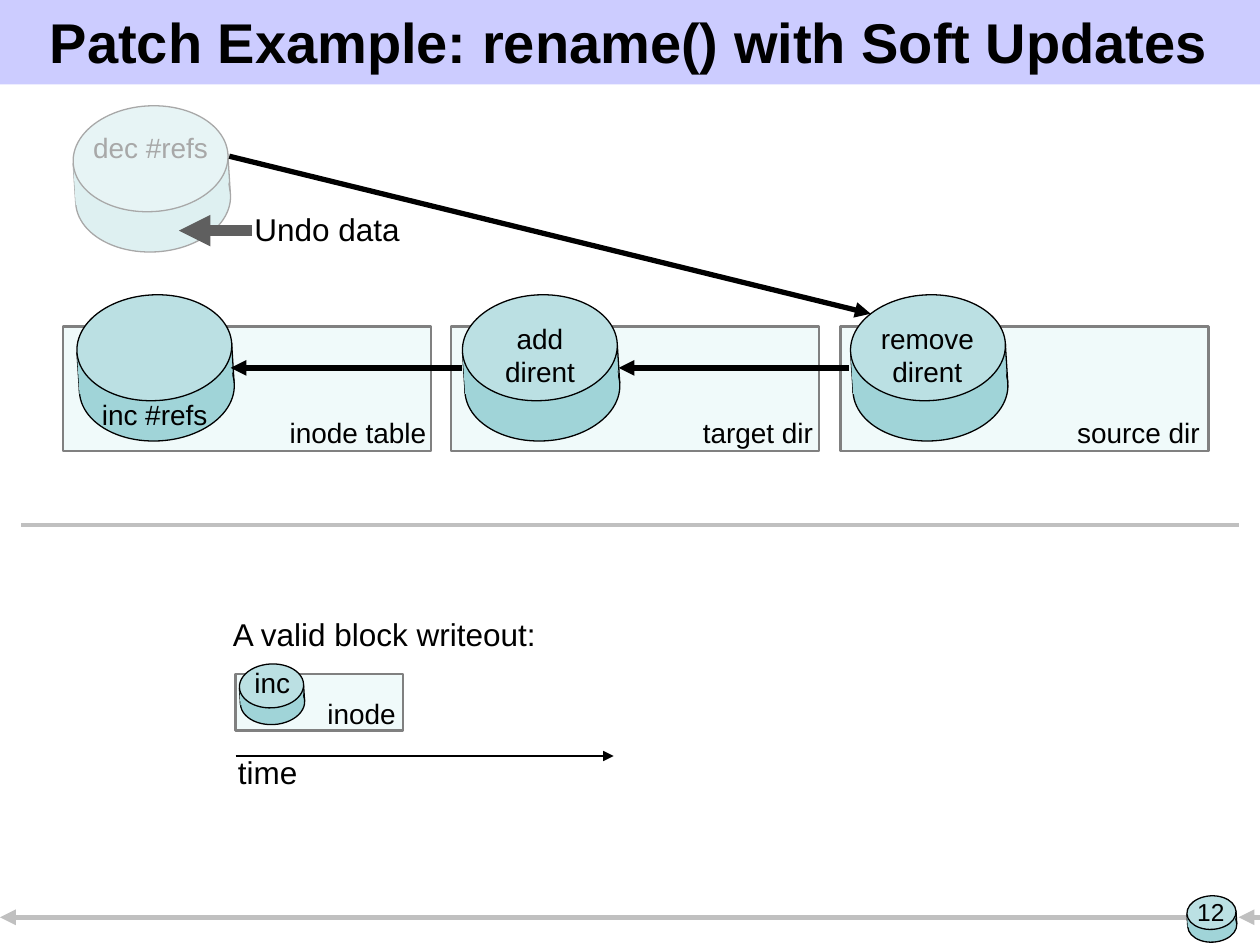
from typing import NamedTuple

from pptx import Presentation
from pptx.dml.color import RGBColor
from pptx.enum.shapes import MSO_CONNECTOR, MSO_SHAPE
from pptx.enum.text import MSO_ANCHOR, MSO_AUTO_SIZE, PP_ALIGN
from pptx.oxml.ns import qn
from pptx.util import Emu, Pt
from lxml.etree import SubElement

PX = 9144  # EMU per px, 100 px to the inch
FONT = "Arial"
COLORS = {
    "black": "000000",
    "white": "FFFFFF",
    "title_band": "CCCCFF",
    "block": "F0FAFA",
    "block_edge": "808080",
    "disk_side": "A0D4D8",
    "disk_top": "BBE0E3",
    "rule": "C0C0C0",
    "undo": "5F5F5F",
}


class Box(NamedTuple):
    left: float
    top: float
    width: float
    height: float


class Disk(NamedTuple):
    left: int
    top: int
    width: int = 123


class Line(NamedTuple):
    x1: int
    y1: int
    x2: int
    y2: int
    color: str = "black"
    weight: float = 3
    arrow: bool = True


class Label(NamedTuple):
    text: str
    box: Box
    size: int = 16
    align: PP_ALIGN = PP_ALIGN.LEFT


def px(length: float) -> Emu:
    return Emu(round(length * PX))


def rgb(name: str) -> RGBColor:
    return RGBColor.from_string(COLORS[name])


def add_solid(shapes, kind: MSO_SHAPE, box: Box, fill: str,
              edge: str = "", weight: float = 0.75, rotation: float = 0):
    solid = shapes.add_shape(kind, *map(px, box))
    solid.shadow.inherit = False
    solid.rotation = rotation
    solid.fill.solid()
    solid.fill.fore_color.rgb = rgb(fill)
    if edge:
        solid.line.color.rgb = rgb(edge)
        solid.line.width = Pt(weight)
    else:
        solid.line.fill.background()
    return solid


def add_block(shapes, box: Box) -> None:
    add_solid(shapes, MSO_SHAPE.RECTANGLE, box, "block", "block_edge", 1.5)


def add_disk(shapes, disk: Disk) -> None:
    """A tilted cylinder; every part scales with its width."""
    left, top, width = disk
    unit = width / 123
    oval, side = 84 * unit, 32 * unit
    parts = shapes.add_group_shape().shapes
    add_solid(parts, MSO_SHAPE.RECTANGLE, Box(left + unit, top + 42 * unit, width, side),
              "disk_side", "black", rotation=356.4)
    add_solid(parts, MSO_SHAPE.OVAL, Box(left + 2 * unit, top + side, width, oval),
              "disk_side", "black", rotation=356.9)
    add_solid(parts, MSO_SHAPE.RECTANGLE, Box(left + unit, top + 43 * unit, width - 1, side),
              "disk_side", rotation=356.4)
    add_solid(parts, MSO_SHAPE.OVAL, Box(left, top, width, oval),
              "disk_top", "black", rotation=356.9)


def add_line(shapes, line: Line) -> None:
    ends = map(px, (line.x1, line.y1, line.x2, line.y2))
    connector = shapes.add_connector(MSO_CONNECTOR.STRAIGHT, *ends)
    connector.line.color.rgb = rgb(line.color)
    connector.line.width = Pt(line.weight)
    if line.arrow:
        SubElement(connector.line._get_or_add_ln(), qn("a:tailEnd"), type="triangle")
    SubElement(connector._element.spPr, qn("a:effectLst"))


def add_text(shapes, text: str, box: Box, *, size: int = 16, bold: bool = False,
             align: PP_ALIGN = PP_ALIGN.LEFT, anchor: MSO_ANCHOR = MSO_ANCHOR.TOP,
             wrap: bool = False) -> None:
    frame = shapes.add_textbox(*map(px, box)).text_frame
    frame.word_wrap = wrap
    frame.auto_size = MSO_AUTO_SIZE.NONE if wrap else MSO_AUTO_SIZE.SHAPE_TO_FIT_TEXT
    frame.vertical_anchor = anchor
    frame.text = text
    for paragraph in frame.paragraphs:
        paragraph.alignment = align
        paragraph.font.name = FONT
        paragraph.font.size = Pt(size)
        paragraph.font.bold = bold
        paragraph.font.color.rgb = rgb("black")


def add_label(shapes, label: Label) -> None:
    add_text(shapes, label.text, label.box, size=label.size, align=label.align)


BLOCK_LEFTS = (50, 358, 667)
BLOCK_DISKS = (Disk(61, 234), Disk(367, 234), Disk(675, 234))
UNDONE_DISK = Disk(58, 84)

# Label boxes leave a little slack so that each line stays whole
PATCH_LABELS = (
    Label("inode table", Box(220, 325, 132, 37)),
    Label("target dir", Box(548, 325, 111, 37)),
    Label("source dir", Box(845, 325, 121, 37)),
    Label("add\ndirent", Box(389, 250, 79, 64), align=PP_ALIGN.CENTER),
    Label("remove\ndirent", Box(687, 250, 98, 64), align=PP_ALIGN.CENTER),
    Label("dec #refs", Box(64, 99, 115, 37)),
    Label("inc #refs", Box(71, 311, 108, 37)),
)
WRITEOUT_LABELS = (
    Label("A valid block writeout:", Box(175, 483, 266, 40), 18),
    Label("inode", Box(246, 548, 78, 37), align=PP_ALIGN.RIGHT),
    Label("inc", Box(190, 523, 52, 37), align=PP_ALIGN.CENTER),
    Label("time", Box(179, 593, 71, 40), 18),
)


def main() -> None:
    deck = Presentation()
    deck.slide_width, deck.slide_height = px(1000), px(750)
    shapes = deck.slides.add_slide(deck.slide_layouts[6]).shapes

    # Footer timeline and title band
    add_line(shapes, Line(942, 728, 0, 728, "rule"))
    add_disk(shapes, Disk(942, 711, 39))
    add_line(shapes, Line(1000, 728, 983, 728, "rule"))
    add_text(shapes, "12", Box(937, 707, 48, 52), size=14, align=PP_ALIGN.CENTER, wrap=True)
    add_solid(shapes, MSO_SHAPE.RECTANGLE, Box(0, 0, 1000, 67), "title_band")
    add_text(shapes, "Patch Example: rename() with Soft Updates", Box(8, 4, 983, 58),
             size=32, bold=True, align=PP_ALIGN.CENTER, anchor=MSO_ANCHOR.MIDDLE, wrap=True)

    # Blocks with their patches
    for left, disk in zip(BLOCK_LEFTS, BLOCK_DISKS):
        add_block(shapes, Box(left, 259, 292, 99))
        add_disk(shapes, disk)
    add_disk(shapes, UNDONE_DISK)
    for dependency in (Line(367, 292, 183, 292), Line(674, 292, 491, 292)):
        add_line(shapes, dependency)
    for label in PATCH_LABELS:
        add_label(shapes, label)

    # Veil that fades the undone patch
    veil = add_solid(shapes, MSO_SHAPE.RECTANGLE, Box(50, 75, 150, 133), "white")
    veil_color = veil._element.spPr.find(qn("a:solidFill")).find(qn("a:srgbClr"))
    SubElement(veil_color, qn("a:alpha"), val="66000")

    # Undo data
    add_line(shapes, Line(182, 124, 691, 249))
    add_label(shapes, Label("Undo data", Box(192, 162, 139, 40), 18))
    add_line(shapes, Line(200, 183, 142, 183, "undo", 6))

    # Block writeout over time
    add_line(shapes, Line(17, 417, 983, 417, "rule", 2.25, arrow=False))
    add_block(shapes, Box(187, 535, 133, 45))
    add_disk(shapes, Disk(190, 527, 51))
    add_line(shapes, Line(187, 600, 487, 600, weight=0.75))
    for label in WRITEOUT_LABELS:
        add_label(shapes, label)

    deck.save("out.pptx")


if __name__ == "__main__":
    main()
